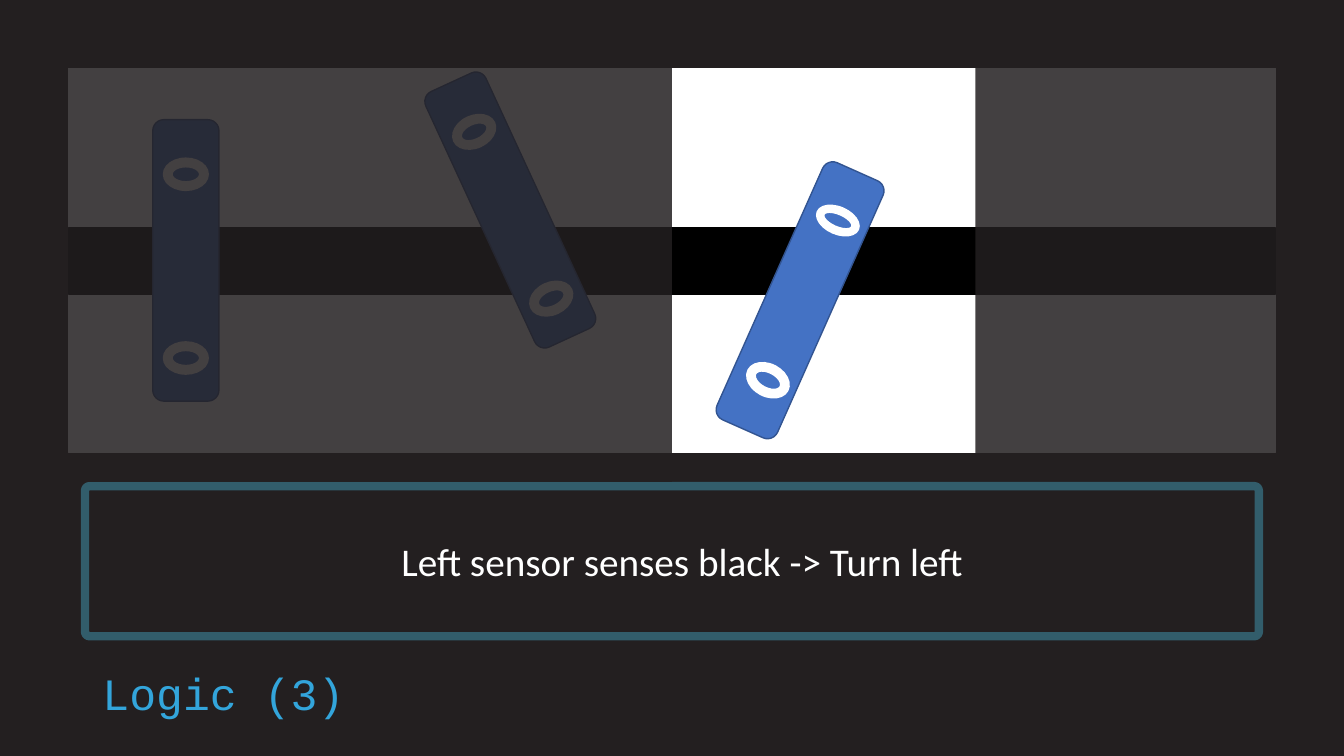
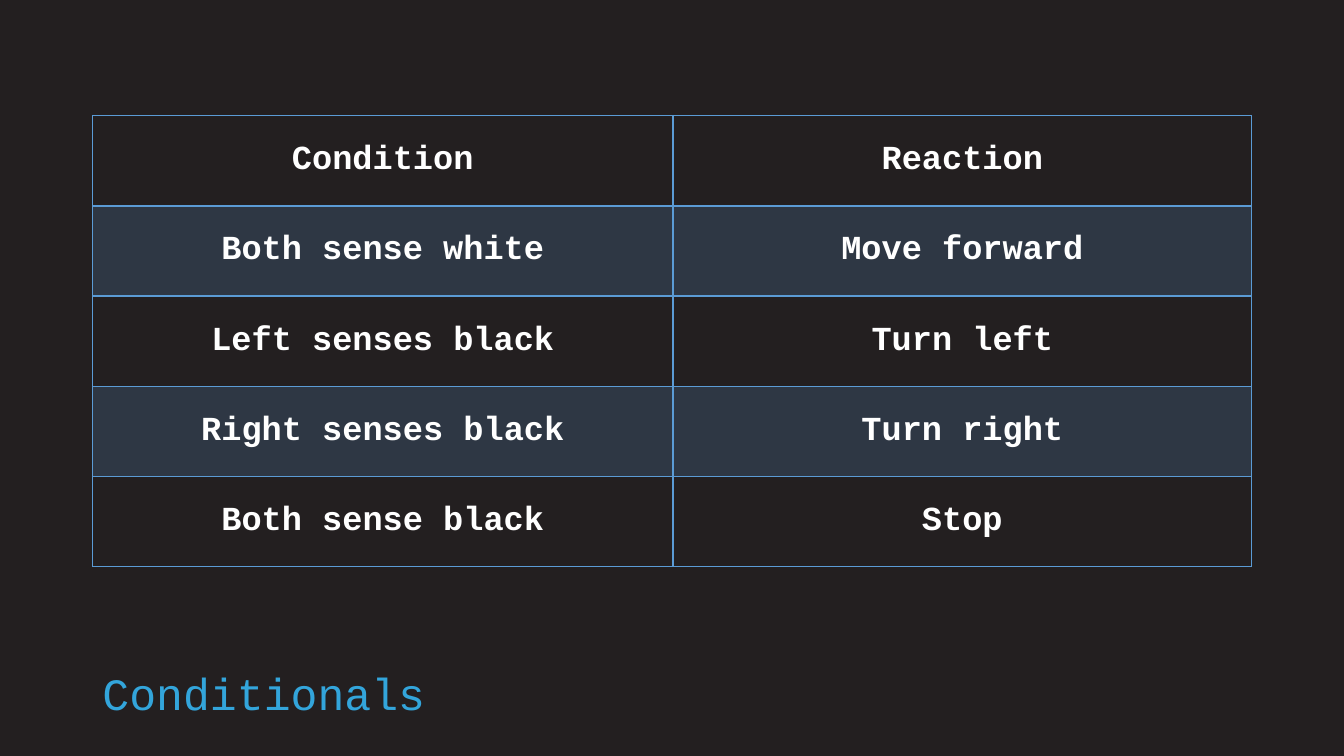
from dataclasses import dataclass
from math import cos, radians, sin

from lxml.etree import SubElement
from pptx import Presentation
from pptx.dml.color import RGBColor as Color
from pptx.enum.shapes import MSO_SHAPE as Shape
from pptx.enum.text import MSO_ANCHOR as Anchor, MSO_AUTO_SIZE as AutoSize, PP_ALIGN as Align
from pptx.oxml.ns import qn
from pptx.util import Pt

EMU_PER_PX = 9525
SLIDE_SIZE = (1280, 720)


@dataclass(frozen=True)
class Theme:
    background: str = "231F20"
    title: str = "33A5DB"
    white: str = "FFFFFF"
    black: str = "000000"
    robot: str = "4472C4"
    robot_edge: str = "325491"
    answer_edge: str = "325D6B"
    table: str = "5B9BD5"
    code_font: str = "Courier New"
    body_font: str = "Calibri"
    title_size: int = 32
    answer_size: int = 28
    table_size: int = 24
    shade_opacity: int = 85
    band_opacity: int = 20


THEME = Theme()
TITLE_FONT = {"name": THEME.code_font, "size": Pt(THEME.title_size)}
ANSWER_FONT = {"name": THEME.body_font, "size": Pt(THEME.answer_size)}
TABLE_FONT = {"name": THEME.code_font, "size": Pt(THEME.table_size), "bold": True}

# Content: boxes are left, top, width, height
TITLE_BOX = (88, 605, 1104, 115)
LOGIC_TITLE = "Logic (3)"
ANSWER = "Left sensor senses black -> Turn left"
ANSWER_BOX = (81, 463, 1118, 143)
ANSWER_INDENT = 19
FLOOR_BOX = (65, 65, 1150, 366)
LINE_BOX = (65, 217, 1150, 63)
LEFT_SHADE = (40, 52, 600, 407)
RIGHT_SHADE = (929, 38, 311, 407)

ROBOT_SIZE = (63, 268)
SENSOR_WIDTH = 42
# Sensors: offset across and along the robot, extra turn, height
SENSORS = [(0, -82, 0, 30), (0, 93, 0, 30)]
SHIFTED_SENSORS = [(2, -84, -0.4, 25), (3, 82, 3.5, 30)]
# Robots: centre, angle, sensors
ROBOTS = [
    ((177, 248), 0, SENSORS),
    ((486, 200), -24.8, SENSORS),
    ((762, 286), 24, SHIFTED_SENSORS),
]

TABLE_TITLE = "Conditionals"
TABLE_ORIGIN = (88, 110)
COLUMN_WIDTHS = (553, 551)
ROW_HEIGHT = 86
RULES = [
    ("Condition", "Reaction"),
    ("Both sense white", "Move forward"),
    ("Left senses black", "Turn left"),
    ("Right senses black", "Turn right"),
    ("Both sense black", "Stop"),
]


# Shared helpers
def px(value):
    return round(value * EMU_PER_PX)


def set_values(target, values):
    for name, value in values.items():
        setattr(target, name, value)


def paint(fill, color):
    fill.solid()
    fill.fore_color.rgb = Color.from_string(color)


def set_opacity(element, percent):
    color = next(element.iter(qn("a:srgbClr")))
    SubElement(color, qn("a:alpha")).set("val", str(percent * 1000))


def write(frame, text, font, color, align):
    paragraph = frame.paragraphs[0]
    paragraph.text = text
    paragraph.alignment = align
    set_values(paragraph.font, font)
    paragraph.font.color.rgb = Color.from_string(color)
    return paragraph


def add_shape(shapes, kind, box, fill=None, line=None, weight=1, angle=0):
    shape = shapes.add_shape(kind, *map(px, box))
    shape.shadow.inherit = False
    shape.rotation = angle
    if fill:
        paint(shape.fill, fill)
    else:
        shape.fill.background()
    if line:
        paint(shape.line.fill, line)
        shape.line.width = Pt(weight)
    else:
        shape.line.fill.background()
    return shape


def add_centred(shapes, kind, centre, size, **style):
    (x, y), (width, height) = centre, size
    return add_shape(shapes, kind, (x - width / 2, y - height / 2, width, height), **style)


def set_up_layout(presentation):
    presentation.slide_width, presentation.slide_height = map(px, SLIDE_SIZE)
    paint(presentation.slide_master.background.fill, THEME.background)
    layout = presentation.slide_layouts[5]
    title = layout.placeholders[0]
    title.left, title.top, title.width, title.height = map(px, TITLE_BOX)
    return layout


def add_slide(presentation, layout, title):
    slide = presentation.slides.add_slide(layout)
    frame = slide.shapes.title.text_frame
    set_values(frame, {"vertical_anchor": Anchor.MIDDLE, "auto_size": AutoSize.NONE, "word_wrap": True})
    write(frame, title, TITLE_FONT, THEME.title, Align.LEFT).line_spacing = 0.9
    return slide


# Line-following diagram
def add_shade(shapes, box):
    shade = add_shape(shapes, Shape.RECTANGLE, box, THEME.background)
    set_opacity(shape_properties(shade), THEME.shade_opacity)


def shape_properties(shape):
    return shape.element.find(qn("p:spPr"))


def add_robot(shapes, centre, angle, sensors):
    group = shapes.add_group_shape().shapes
    add_centred(group, Shape.ROUNDED_RECTANGLE, centre, ROBOT_SIZE,
                fill=THEME.robot, line=THEME.robot_edge, angle=angle)
    cosine, sine = cos(radians(angle)), sin(radians(angle))
    for across, along, turn, height in sensors:
        sensor_centre = (centre[0] + across * cosine - along * sine,
                         centre[1] + across * sine + along * cosine)
        add_centred(group, Shape.DONUT, sensor_centre, (SENSOR_WIDTH, height),
                    fill=THEME.white, line=THEME.white, weight=1.5, angle=angle + turn)


def add_answer(shapes):
    answer = add_shape(shapes, Shape.ROUNDED_RECTANGLE, ANSWER_BOX, line=THEME.answer_edge, weight=6)
    answer.adjustments[0] = 0.03
    set_values(answer.text_frame, {"vertical_anchor": Anchor.MIDDLE, "word_wrap": True})
    paragraph = write(answer.text_frame, ANSWER, ANSWER_FONT, THEME.white, Align.CENTER)
    properties = paragraph._p.get_or_add_pPr()
    properties.set("marL", str(px(ANSWER_INDENT)))
    properties.set("indent", "0")


def build_logic(slide):
    shapes = slide.shapes
    for box, color in ((FLOOR_BOX, THEME.white), (LINE_BOX, THEME.black)):
        add_shape(shapes, Shape.RECTANGLE, box, color, color)
    add_shade(shapes, RIGHT_SHADE)
    add_answer(shapes)
    for robot in ROBOTS:
        add_robot(shapes, *robot)
    add_shade(shapes, LEFT_SHADE)


# Table of conditions
def add_borders(cell, weights):
    properties = cell._tc.get_or_add_tcPr()
    for side, weight in weights.items():
        line = SubElement(properties, qn(f"a:ln{side}"), w=str(Pt(weight)))
        fill = SubElement(line, qn("a:solidFill"))
        SubElement(fill, qn("a:srgbClr"), val=THEME.table)


def build_table(slide):
    size = (sum(COLUMN_WIDTHS), ROW_HEIGHT * len(RULES))
    frame = slide.shapes.add_table(len(RULES), len(COLUMN_WIDTHS), *map(px, TABLE_ORIGIN + size))
    table = frame.table
    set_values(table, {"first_row": True, "horz_banding": False})
    for column, width in zip(table.columns, COLUMN_WIDTHS):
        column.width = px(width)
    for row_index, rule in enumerate(RULES):
        table.rows[row_index].height = px(ROW_HEIGHT)
        weights = {"L": 1, "R": 1, "T": 2 if row_index == 1 else 1, "B": 2 if row_index == 0 else 1}
        for column_index, text in enumerate(rule):
            cell = table.cell(row_index, column_index)
            cell.vertical_anchor = Anchor.MIDDLE
            write(cell.text_frame, text, TABLE_FONT, THEME.white, Align.CENTER)
            add_borders(cell, weights)
            if row_index % 2:
                paint(cell.fill, THEME.table)
                set_opacity(cell._tc.tcPr.find(qn("a:solidFill")), THEME.band_opacity)
            else:
                cell.fill.background()


def main():
    presentation = Presentation()
    layout = set_up_layout(presentation)
    for title, build in ((LOGIC_TITLE, build_logic), (TABLE_TITLE, build_table)):
        build(add_slide(presentation, layout, title))
    presentation.save("out.pptx")


if __name__ == "__main__":
    main()
